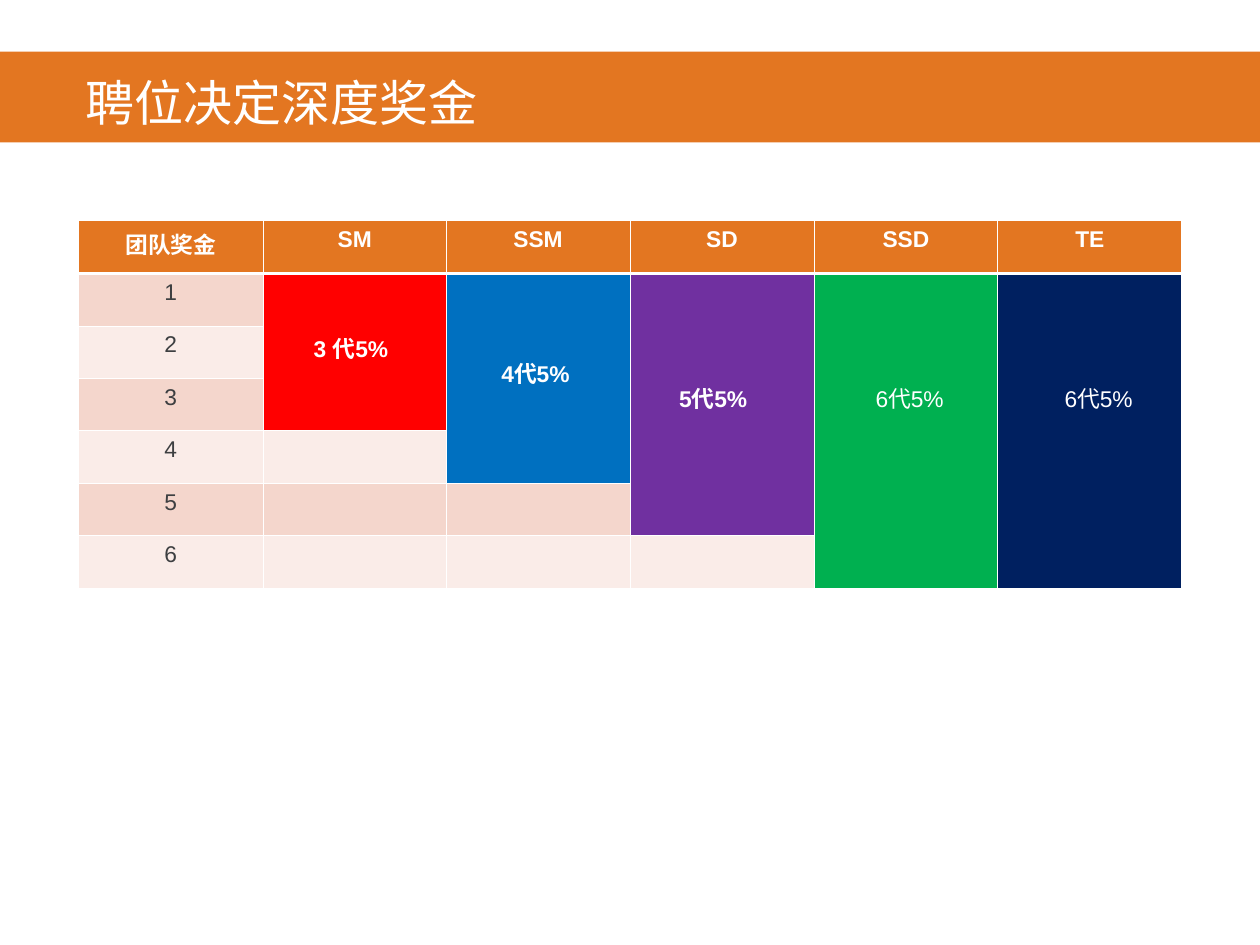
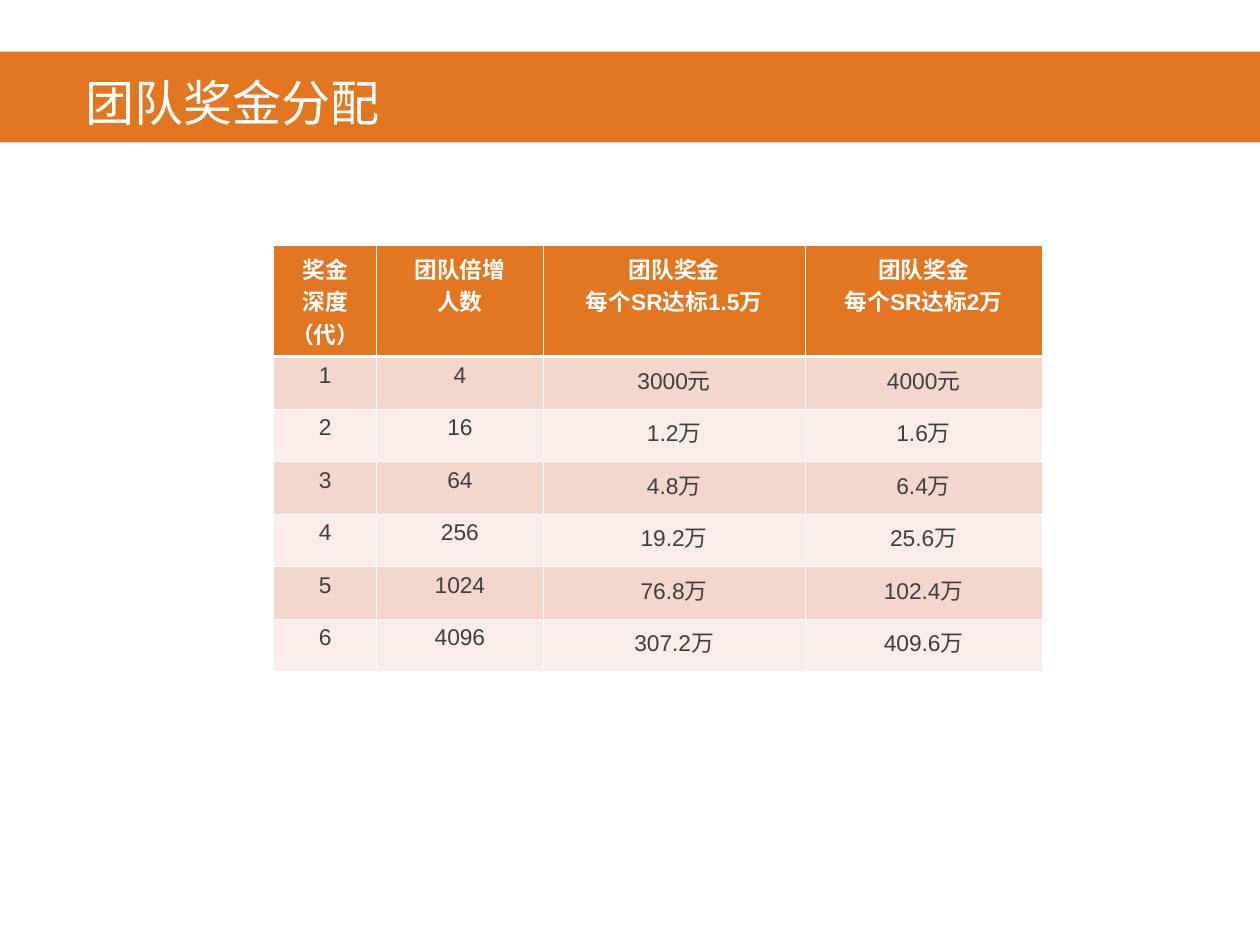
from lxml import etree
from pptx import Presentation
from pptx import util as u
from pptx.dml.color import RGBColor
from pptx.enum import shapes, text
from pptx.oxml.ns import qn

COLOURS = {
    "white": "FFFFFF", "orange": "E37621", "ink": "3D3F41",
    "odd_row": "F4D6CC", "even_row": "FAECE8",
    "SM": "FF0000", "SSM": "0070C0", "SD": "7030A0", "SSD": "00B050", "TE": "002060",
}
FONT = "Arial"
THIN, THICK = 0.45, 1.47


def rgb(name):
    return RGBColor.from_string(COLOURS[name])


def style_cell(cell, row, fill, ink, bold, align):
    """Give a table cell its white borders, fill and text format."""
    props = cell._tc.get_or_add_tcPr()
    widths = {"L": THIN, "R": THIN,
              "T": THICK if row == 1 else THIN,
              "B": THICK if row == 0 else THIN}
    for side, width in widths.items():
        for old in props.findall(qn(f"a:ln{side}")):
            props.remove(old)
    for index, (side, width) in enumerate(widths.items()):
        line = etree.Element(qn(f"a:ln{side}"), w=str(u.Pt(width)))
        solid = etree.SubElement(line, qn("a:solidFill"))
        etree.SubElement(solid, qn("a:srgbClr"), val=COLOURS["white"])
        props.insert(index, line)
    cell.fill.solid()
    cell.fill.fore_color.rgb = rgb(fill)
    for paragraph in cell.text_frame.paragraphs:
        paragraph.alignment = align
        for run in paragraph.runs:
            run.font.name = FONT
            run.font.size = u.Pt(13)
            run.font.bold = bold
            run.font.color.rgb = rgb(ink)


ranks = ["SM", "SSM", "SD", "SSD", "TE"]
pages = [
    {
        "title": "聘位决定深度奖金",
        "place": (0.62, 1.75), "height": 2.92, "header": 0.42,
        "columns": [1.47, 1.45, 1.46, 1.46, 1.46, 1.46],
        "rows": [["团队奖金", *ranks]] + [[str(n)] + [""] * 5 for n in range(1, 7)],
    },
    {
        "title": "团队奖金分配",
        "place": (2.17, 1.95), "height": 3.27, "header": 0.77,
        "columns": [0.82, 1.32, 2.08, 1.88],
        "rows": [
            ["奖金\n深度（代）", "团队倍增\n人数",
             "团队奖金\n每个SR达标1.5万", "团队奖金\n每个SR达标2万"],
            ["1", "4", "3000元", "4000元"],
            ["2", "16", "1.2万", "1.6万"],
            ["3", "64", "4.8万", "6.4万"],
            ["4", "256", "19.2万", "25.6万"],
            ["5", "1024", "76.8万", "102.4万"],
            ["6", "4096", "307.2万", "409.6万"],
        ],
    },
]

prs = Presentation()
prs.slide_width, prs.slide_height = u.Inches(10), u.Inches(7.5)
tables = []

for page in pages:
    slide = prs.slides.add_slide(prs.slide_layouts[5])

    band = slide.shapes.add_shape(shapes.MSO_SHAPE.RECTANGLE, 0, u.Inches(0.41),
                                  u.Inches(10), u.Inches(0.72))
    band.shadow.inherit = False
    band.fill.solid()
    band.fill.fore_color.rgb = rgb("orange")
    band.line.fill.background()

    title = slide.shapes.title
    title._element.addprevious(band._element)  # the band lies behind the title
    title.left, title.top = u.Inches(0.58), u.Inches(0.44)
    title.width, title.height = u.Inches(8.84), u.Inches(0.66)
    title.text_frame.text = page["title"]
    title.text_frame.vertical_anchor = text.MSO_ANCHOR.BOTTOM
    heading = title.text_frame.paragraphs[0]
    heading.alignment = text.PP_ALIGN.LEFT
    heading.line_spacing = 0.9
    heading.runs[0].font.name = FONT
    heading.runs[0].font.size = u.Pt(28)
    heading.runs[0].font.color.rgb = rgb("white")

    rows, columns = page["rows"], page["columns"]
    left, top = page["place"]
    table = slide.shapes.add_table(len(rows), len(columns), u.Inches(left), u.Inches(top),
                                   u.Inches(sum(columns)), u.Inches(page["height"])).table
    table.horz_banding = False
    for column, width in zip(table.columns, columns):
        column.width = u.Inches(width)
    body_height = (page["height"] - page["header"]) / (len(rows) - 1)
    for r, values in enumerate(rows):
        table.rows[r].height = u.Inches(body_height if r else page["header"])
        fill = "orange" if r == 0 else "odd_row" if r % 2 else "even_row"
        for c, value in enumerate(values):
            cell = table.cell(r, c)
            cell.text_frame.text = value
            style_cell(cell, r, fill, "ink" if r else "white", r == 0, text.PP_ALIGN.CENTER)
    tables.append(table)

# Each rank's bonus spans the generations it reaches: label, depth, indent, bold
bonuses = [("3 代5%", 3, 0.40, True), ("4代5%", 4, 0.44, True), ("5代5%", 5, 0.39, True),
           ("6代5%", 6, 0.49, False), ("6代5%", 6, 0.53, False)]
for c, (rank, (label, depth, indent, bold)) in enumerate(zip(ranks, bonuses), start=1):
    bonus = tables[0].cell(1, c)
    bonus.merge(tables[0].cell(depth, c))
    bonus.text_frame.text = label
    bonus.margin_left = u.Inches(indent)
    bonus.margin_top = u.Inches(0.46 + 0.2 * (min(depth, 5) - 3))
    style_cell(bonus, 1, rank, "white", bold, text.PP_ALIGN.LEFT)

prs.save("out.pptx")
